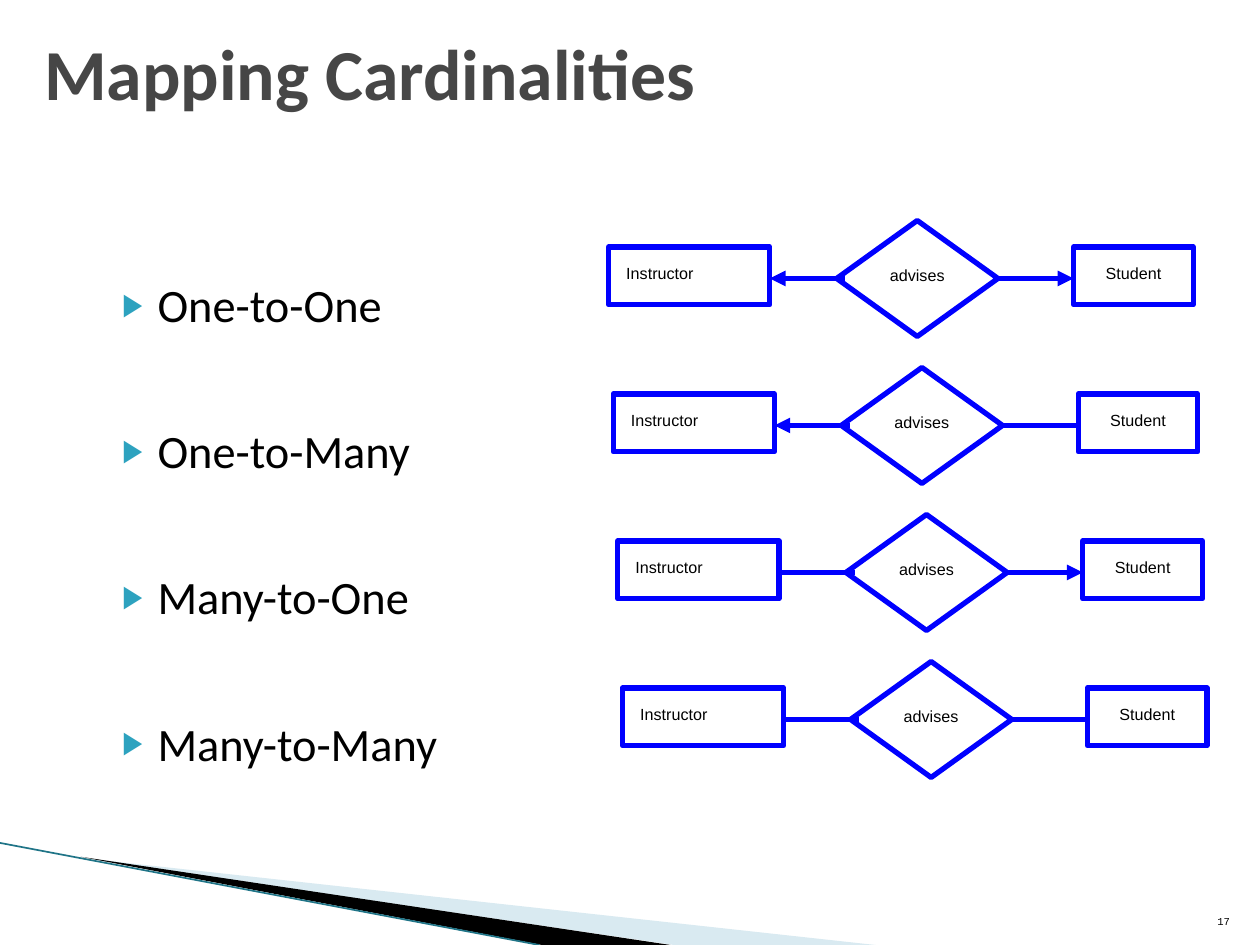
import pptx
import pptx.dml.color
import pptx.enum.shapes
import pptx.enum.text
import pptx.oxml
import pptx.oxml.ns
import pptx.util
from pptx.util import Inches

COLORS = {
    "title": "464646",
    "text": "000000",
    "bullet": "2DA2BF",
    "diagram": "0000FF",
    "pale": "D9EAF1",
    "black": "000000",
    "edge": "1F7487",
}
RELATIONSHIPS = [
    ("One-to-One", True, True),
    ("One-to-Many", True, False),
    ("Many-to-One", False, True),
    ("Many-to-Many", False, False),
]
ALIGN = pptx.enum.text.PP_ALIGN
ANCHOR = pptx.enum.text.MSO_ANCHOR
SHAPE = pptx.enum.shapes.MSO_SHAPE


def rgb(name):
    return pptx.dml.color.RGBColor.from_string(COLORS[name])


def add_xml(parent, tag, **attributes):
    element = pptx.oxml.ns.qn(tag)
    child = parent.makeelement(element, attributes)
    parent.append(child)
    return child


def format_paragraph(paragraph, font_name, size, color, align, bold=False):
    paragraph.alignment = align
    for run in paragraph.runs:
        run.font.name = font_name
        run.font.size = pptx.util.Pt(size)
        run.font.bold = bold
        run.font.color.rgb = rgb(color)


def place(shape, left, top, width, height):
    shape.left, shape.top = Inches(left), Inches(top)
    shape.width, shape.height = Inches(width), Inches(height)


def add_line(slide, start, end, color, width, arrow=None):
    line = slide.shapes.add_connector(
        pptx.enum.shapes.MSO_CONNECTOR.STRAIGHT,
        Inches(start[0]), Inches(start[1]), Inches(end[0]), Inches(end[1]))
    line.line.color.rgb = rgb(color)
    line.line.width = pptx.util.Pt(width)
    if arrow:
        add_xml(line.line._get_or_add_ln(), arrow, type="triangle")
    add_xml(line._element.spPr, "a:effectLst")


def add_polygon(slide, points, color):
    corners = [(Inches(x), Inches(y)) for x, y in points]
    builder = slide.shapes.build_freeform(*corners[0])
    builder.add_line_segments(corners[1:], close=True)
    polygon = builder.convert_to_shape()
    polygon.shadow.inherit = False
    polygon.fill.solid()
    polygon.fill.fore_color.rgb = rgb(color)
    polygon.line.fill.background()


def add_corner_decoration(slide):
    add_polygon(slide, [(0.65, 6.81), (6.95, 7.5), (5.35, 7.5)], "pale")
    add_polygon(slide, [(0.64, 6.8), (5.32, 7.5), (4.3, 7.5)], "black")
    add_line(slide, (0, 6.69), (4.28, 7.5), "edge", 0.95)


def add_title(slide, left, top, width, height):
    title = slide.shapes.title
    place(title, left, top, width, height)
    title.text_frame.text = "Mapping Cardinalities"
    title.text_frame.vertical_anchor = ANCHOR.MIDDLE
    format_paragraph(title.text_frame.paragraphs[0], "Calibri", 41, "title",
                     ALIGN.LEFT, bold=True)


def add_bullet_list(slide, left, top, width, height):
    body = slide.placeholders[1]
    place(body, left, top, width, height)
    text_frame = body.text_frame
    text_frame.text = "\n".join(name for name, *_ in RELATIONSHIPS)
    text_frame.auto_size = pptx.enum.text.MSO_AUTO_SIZE.NONE
    for index, paragraph in enumerate(text_frame.paragraphs):
        paragraph.line_spacing = 2.5
        paragraph.space_before = pptx.util.Pt(4 if index else 0)
        properties = paragraph._p.get_or_add_pPr()
        properties.set("marL", str(Inches(0.4)))
        properties.set("indent", str(Inches(-0.28)))
        bullet_color = add_xml(properties, "a:buClr")
        add_xml(bullet_color, "a:srgbClr", val=COLORS["bullet"])
        add_xml(properties, "a:buSzPct", val="68000")
        add_xml(properties, "a:buChar", char="▶")
        format_paragraph(paragraph, "Calibri", 26.5, "text", ALIGN.LEFT)


def add_node(slide, kind, text, left, top, width, height, align=ALIGN.CENTER):
    node = slide.shapes.add_shape(kind, 0, 0, 0, 0)
    place(node, left, top, width, height)
    node.shadow.inherit = False
    node.fill.background()
    node.line.color.rgb = rgb("diagram")
    node.line.width = pptx.util.Pt(3)
    text_frame = node.text_frame
    text_frame.text = text
    text_frame.word_wrap = False
    text_frame.vertical_anchor = ANCHOR.MIDDLE
    text_frame.margin_left = text_frame.margin_right = Inches(0.14)
    text_frame.margin_top, text_frame.margin_bottom = Inches(0), Inches(0.05)
    format_paragraph(text_frame.paragraphs[0], "Arial", 9.2, "text", align)


def add_relationship(slide, left, top, arrow_left, arrow_right):
    middle = top + 0.46
    add_node(slide, SHAPE.RECTANGLE, "Instructor", left, top + 0.21, 1.28, 0.46,
             ALIGN.LEFT)
    add_node(slide, SHAPE.DIAMOND, "advises", left + 1.81, top, 1.28, 0.92)
    add_line(slide, (left + 1.28, middle), (left + 1.88, middle), "diagram", 3,
             "a:headEnd" if arrow_left else None)
    add_line(slide, (left + 3.09, middle), (left + 3.69, middle), "diagram", 3,
             "a:tailEnd" if arrow_right else None)
    add_node(slide, SHAPE.RECTANGLE, "Student", left + 3.69, top + 0.21, 0.95, 0.46)


def add_diagram(slide, left, top, step_x, step_y):
    for index, (_, arrow_left, arrow_right) in enumerate(RELATIONSHIPS):
        add_relationship(slide, left + index * step_x, top + index * step_y,
                         arrow_left, arrow_right)


def add_slide_number(slide, left, top, width, height):
    box = slide.shapes.add_textbox(0, 0, 0, 0)
    place(box, left, top, width, height)
    box.text_frame.word_wrap = True
    box.text_frame.vertical_anchor = ANCHOR.BOTTOM
    box.text_frame.text = "17"
    format_paragraph(box.text_frame.paragraphs[0], "Courier New", 6, "text",
                     ALIGN.RIGHT)


def main():
    presentation = pptx.Presentation()
    presentation.slide_width, presentation.slide_height = Inches(10), Inches(7.5)
    slide = presentation.slides.add_slide(presentation.slide_layouts[1])
    add_corner_decoration(slide)
    add_title(slide, 0.25, 0.17, 9.25, 0.8)
    add_bullet_list(slide, 0.75, 1.48, 8.5, 3.75)
    add_diagram(slide, 4.83, 1.75, 0.11 / 3, 3.5 / 3)
    add_slide_number(slide, 9.46, 7.01, 0.4, 0.4)
    presentation.save("out.pptx")


if __name__ == "__main__":
    main()
